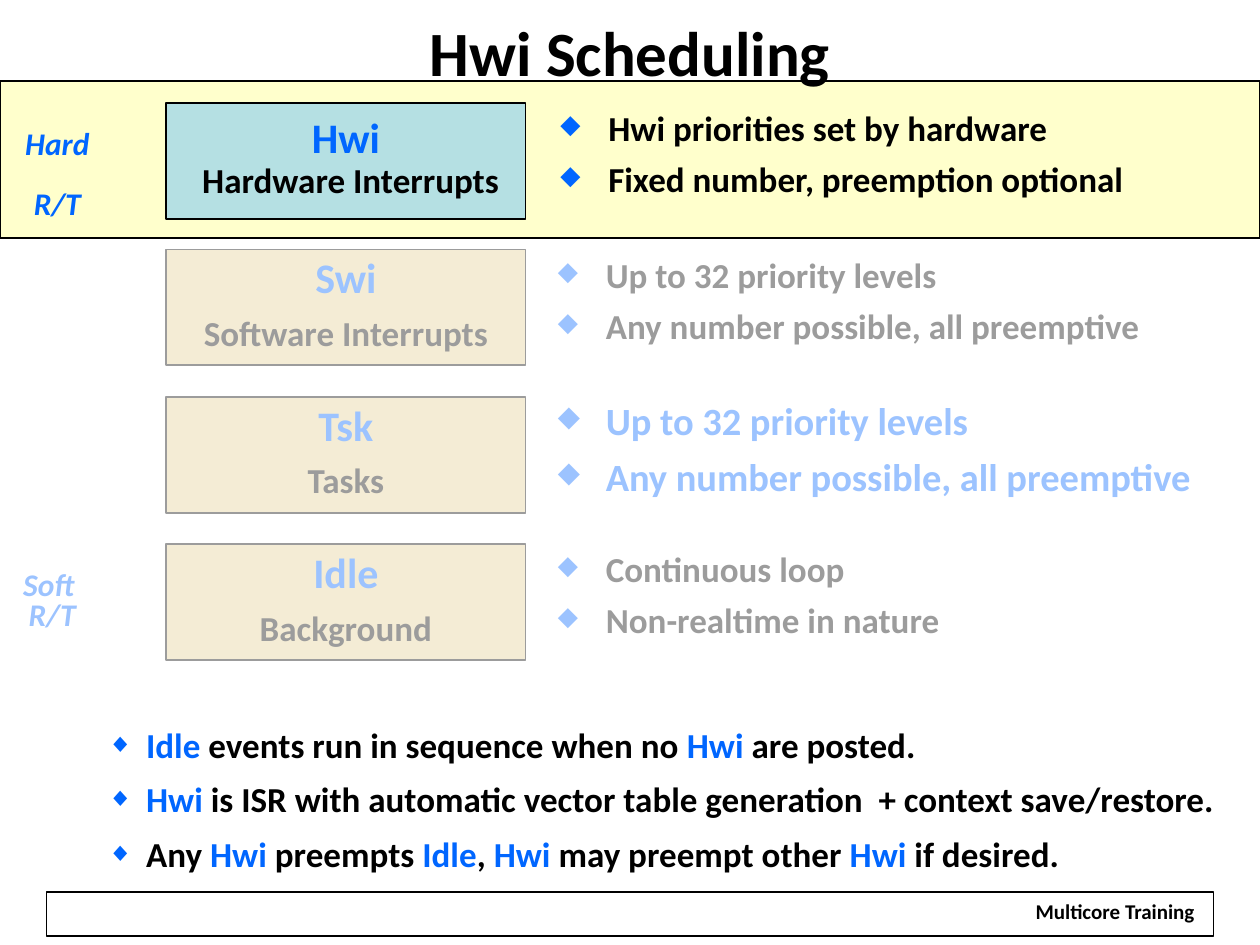
"""Build the Hwi Scheduling slide."""
from dataclasses import dataclass

from lxml import etree
from pptx import Presentation
from pptx import util as u
from pptx.dml.color import RGBColor
from pptx.enum import shapes, text
from pptx.oxml.ns import qn


@dataclass(frozen=True)
class Theme:
    """Hold the colours and type sizes of the slide."""
    font: str = "Calibri"
    ink: str = "000000"
    accent: str = "0066FF"
    paper: str = "FFFFFF"
    band: str = "FFFFCC"
    active: str = "B5E0E3"
    idle: str = "E5D093"
    title: int = 36
    name: int = 24
    large: int = 22
    body: int = 20
    side: int = 18
    footer: int = 12


THEME = Theme()
CENTER = text.PP_ALIGN.CENTER
GROW = text.MSO_AUTO_SIZE.SHAPE_TO_FIT_TEXT
TIGHT = {"alignment": CENTER, "line_spacing": 0.8}


def apply(target, values):
    """Set each named value on the target."""
    for name, value in values.items():
        setattr(target, name, value)


def place(box, at):
    """Move and size a box, given in inches."""
    names = ("left", "top", "width", "height")
    apply(box, dict(zip(names, map(u.Inches, at))))


def add_span(para, words, size, color=THEME.ink, italic=False):
    """Add one bold run, turning line feeds into line breaks."""
    for index, part in enumerate(words.split("\n")):
        if index:
            para.add_line_break()
        if part:
            span = para.add_run()
            span.text = part
            apply(span.font, {"name": THEME.font, "size": u.Pt(size),
                              "bold": True, "italic": italic})
            span.font.color.rgb = RGBColor.from_string(color)


def add_bullet(para, indent):
    """Give a paragraph a hanging diamond bullet."""
    props = para._p.get_or_add_pPr()
    props.set("marL", str(u.Inches(indent)))
    props.set("indent", str(-u.Inches(indent)))
    color = etree.SubElement(props, qn("a:buClr"))
    etree.SubElement(color, qn("a:srgbClr"), val=THEME.accent)
    etree.SubElement(props, qn("a:buSzPct"), val="75000")
    etree.SubElement(props, qn("a:buChar"), char="◆")


def fill_frame(box, paras, layout, gap=0, indent=None, **frame_format):
    """Write paragraphs, each a list of run arguments, into a box."""
    frame = box.text_frame
    apply(frame, frame_format)
    for index, spans in enumerate(paras):
        para = frame.add_paragraph() if index else frame.paragraphs[0]
        if indent:
            add_bullet(para, indent)
        apply(para, {**layout, "space_before": u.Pt(gap if index else 0)})
        for span in spans:
            add_span(para, *span)


def add_box(page, at, fill=None, line=None, alpha=None):
    """Add a plain rectangle with optional fill, line and opacity."""
    box = page.shapes.add_shape(shapes.MSO_SHAPE.RECTANGLE, *map(u.Inches, at))
    box.shadow.inherit = False
    if fill:
        box.fill.solid()
        box.fill.fore_color.rgb = RGBColor.from_string(fill)
    else:
        box.fill.background()
    if line:
        box.line.color.rgb = RGBColor.from_string(THEME.ink)
        box.line.width = u.Pt(line)
    else:
        box.line.fill.background()
    if alpha:
        color = box._element.spPr.find(f".//{qn('a:srgbClr')}")
        etree.SubElement(color, qn("a:alpha"), val=str(alpha * 1000))
    return box


def add_text(page, at, paras, layout, **options):
    """Add a text box that grows with its text."""
    box = page.shapes.add_textbox(*map(u.Inches, at))
    fill_frame(box, paras, layout, auto_size=GROW, **options)


def add_thread(page, top, fill, paras):
    """Add the box that names one thread type."""
    box = add_box(page, (1.32, top, 2.85, 0.92), fill, 1)
    fill_frame(box, paras, TIGHT, gap=10, word_wrap=False,
               vertical_anchor=text.MSO_ANCHOR.MIDDLE)


def add_traits(page, at, lines, size=THEME.body, color=THEME.ink):
    """Add the bullet list that describes one thread type."""
    add_text(page, at, [[(line, size, color)] for line in lines],
             {"line_spacing": 0.8}, gap=size / 2, indent=0.38, word_wrap=False)


def fill_title(page):
    """Place and write the title."""
    place(page.shapes.title, (0, 0, 10, 0.81))
    fill_frame(page.shapes.title, [[("Hwi Scheduling", THEME.title)]],
               {"alignment": CENTER}, word_wrap=True,
               auto_size=text.MSO_AUTO_SIZE.NONE,
               vertical_anchor=text.MSO_ANCHOR.MIDDLE)


def fill_summary(page):
    """Write the closing list, with thread names in the accent colour."""
    lines = [
        ["", "Idle", " events run in sequence when no ", "Hwi ", "are posted."],
        ["", "Hwi", " is ISR with automatic vector table generation  + context save/restore."],
        ["Any ", "Hwi", " preempts ", "Idle", ", ", "Hwi", " may preempt other ",
         "Hwi", " if desired."],
    ]
    colors = (THEME.ink, THEME.accent)
    paras = [[(words, THEME.body, colors[index % 2])
              for index, words in enumerate(line)] for line in lines]
    body = page.placeholders[1]
    place(body, (0.75, 5.59, 9, 1.42))
    fill_frame(body, paras, {"line_spacing": 1.3}, indent=0.31,
               word_wrap=True, auto_size=GROW)


def add_footer(page):
    """Add the footer frame and its label."""
    add_box(page, (0.37, 7.08, 9.26, 0.35), line=0.75)
    label = add_box(page, (8.11, 7.12, 1.48, 0.26), THEME.paper)
    fill_frame(label, [[("Multicore Training", THEME.footer)]], TIGHT,
               word_wrap=False, auto_size=GROW,
               vertical_anchor=text.MSO_ANCHOR.TOP)


def main():
    """Build and save the slide."""
    deck = Presentation()
    deck.slide_width, deck.slide_height = u.Inches(10), u.Inches(7.5)
    page = deck.slides.add_slide(deck.slide_layouts[1])

    band = add_box(page, (0, 0.64, 10, 1.25), THEME.band, 1)
    page.shapes._spTree.insert(2, band._element)
    fill_title(page)
    fill_summary(page)
    add_footer(page)

    add_thread(page, 0.82, THEME.active,
               [[("Hwi\n ", THEME.name, THEME.accent),
                 ("Hardware Interrupts", THEME.body)]])
    threads = [("Swi", "Software Interrupts"), ("Tsk", "Tasks"),
               ("Idle", "Background")]
    for index, (name, meaning) in enumerate(threads):
        add_thread(page, 1.98 + index * 1.17, THEME.idle,
                   [[(name, THEME.name, THEME.accent)],
                    [(meaning, THEME.body)]])

    levels = ["Up to 32 priority levels", "Any number possible, all preemptive"]
    add_traits(page, (4.35, 0.86, 4.8, 0.8),
               ["Hwi priorities set by hardware",
                "Fixed number, preemption optional"])
    add_traits(page, (4.33, 2.03, 4.93, 0.8), levels)
    add_traits(page, (4.33, 3.17, 5.37, 0.87), levels, THEME.large, THEME.accent)
    add_traits(page, (4.33, 4.36, 3.3, 0.8),
               ["Continuous loop", "Non-realtime in nature"])

    for words, top, width in [("Hard \nR/T", 0.99, 0.75), ("Soft \nR/T", 4.49, 0.67)]:
        add_text(page, (0.08, top, width, 0.59),
                 [[(words, THEME.side, THEME.accent, True)]], TIGHT, word_wrap=True)
    add_box(page, (0.07, 1.92, 9.75, 3.5), THEME.paper, alpha=61)
    deck.save("out.pptx")


if __name__ == "__main__":
    main()
